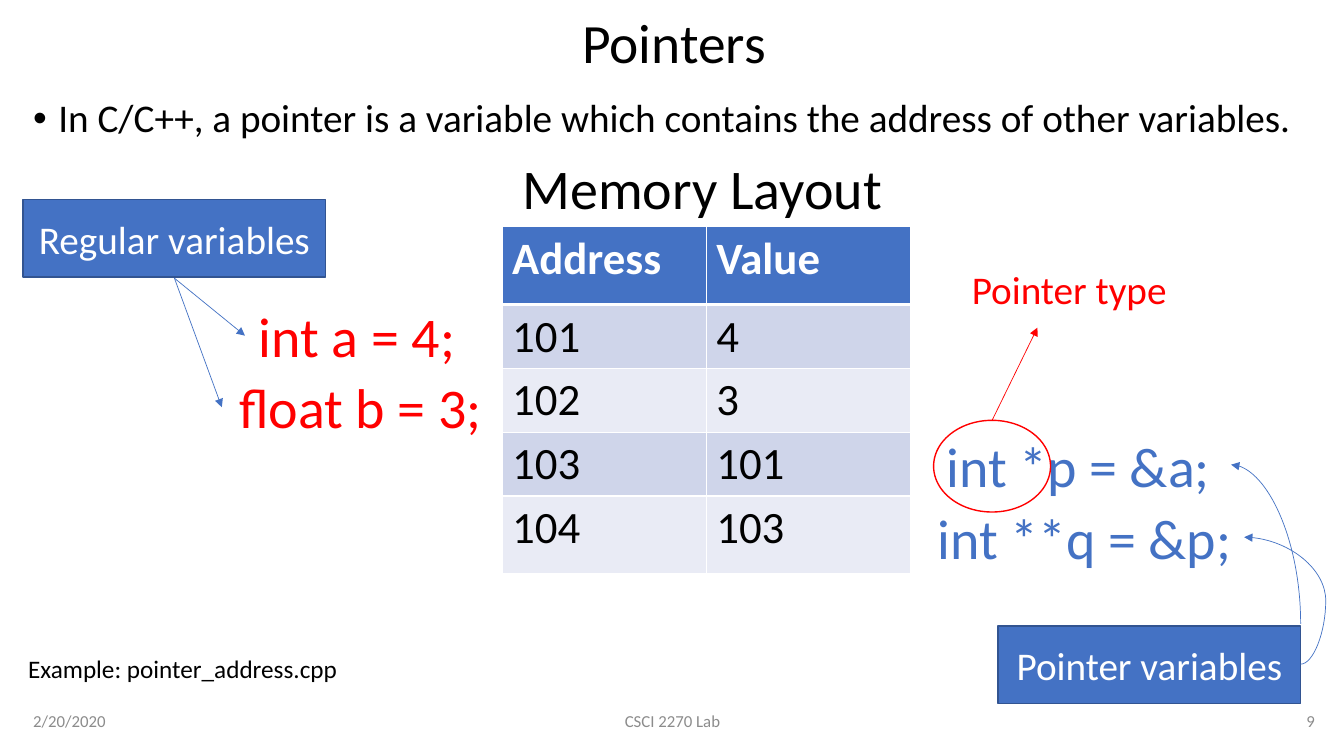
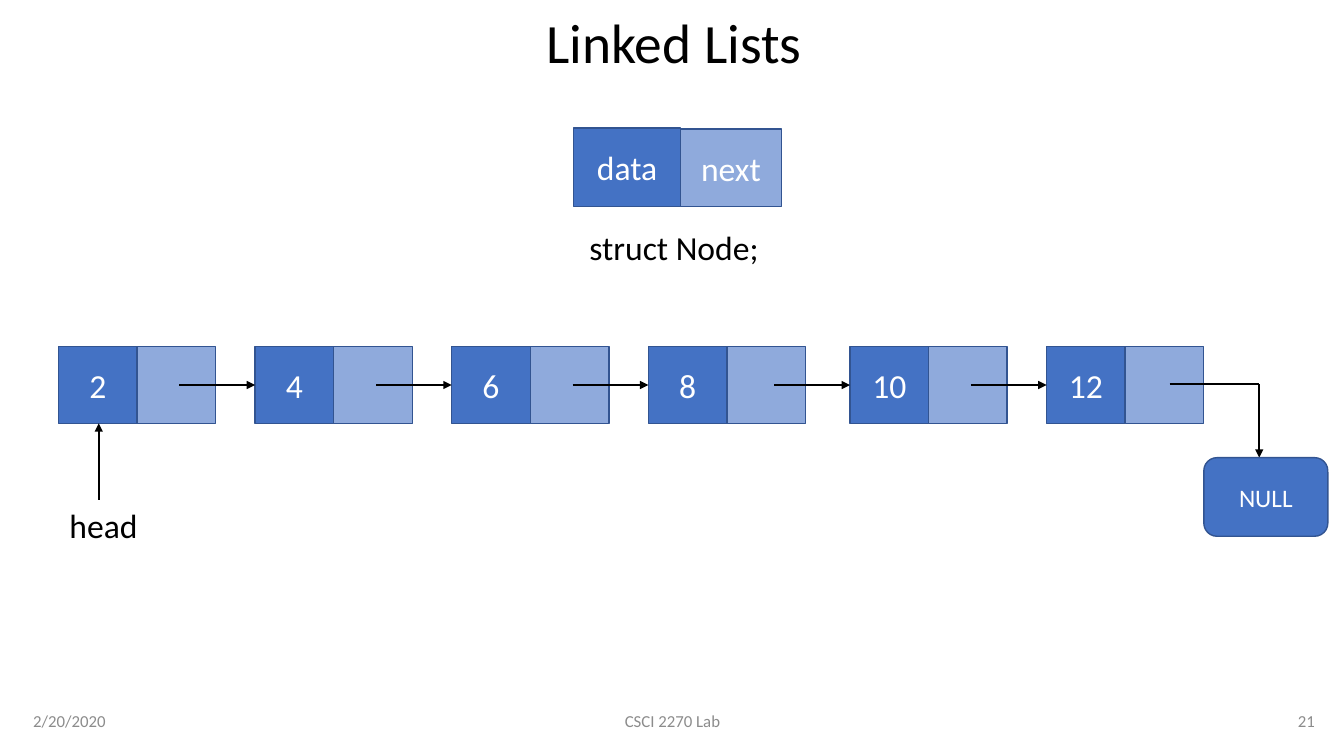
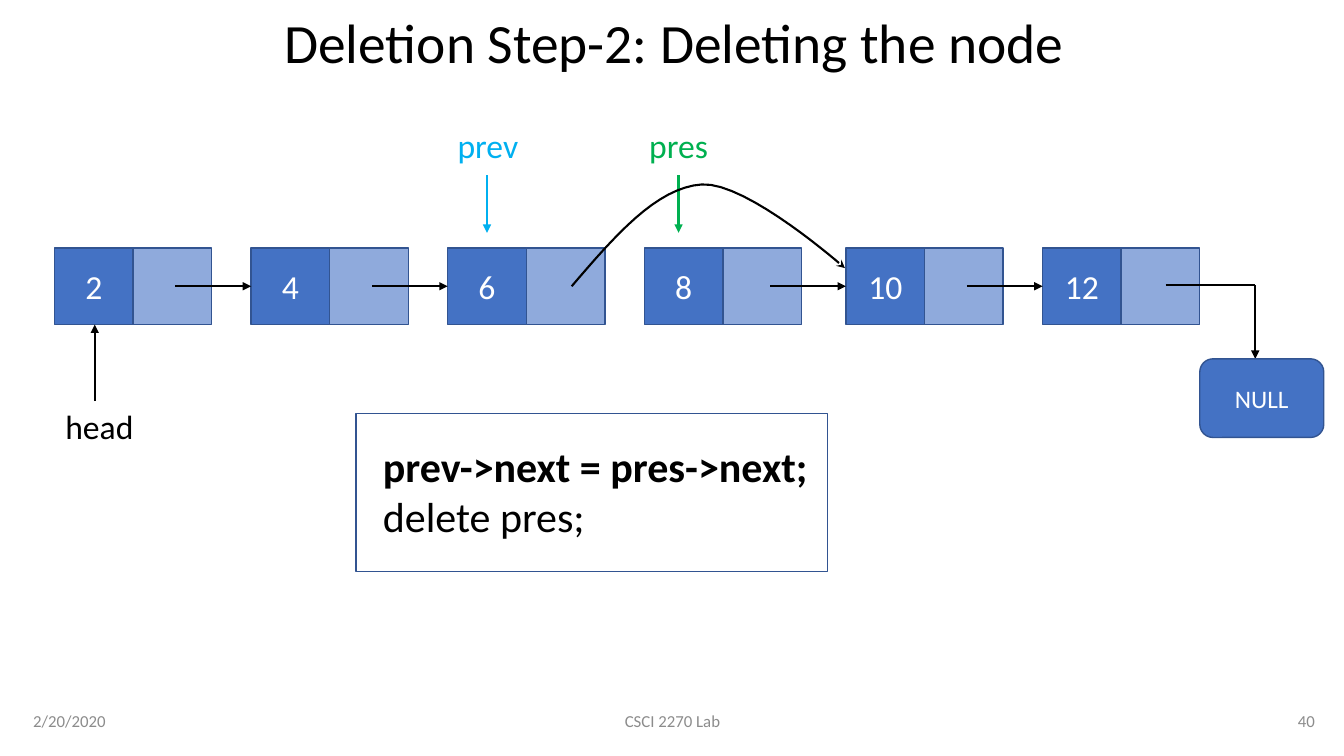
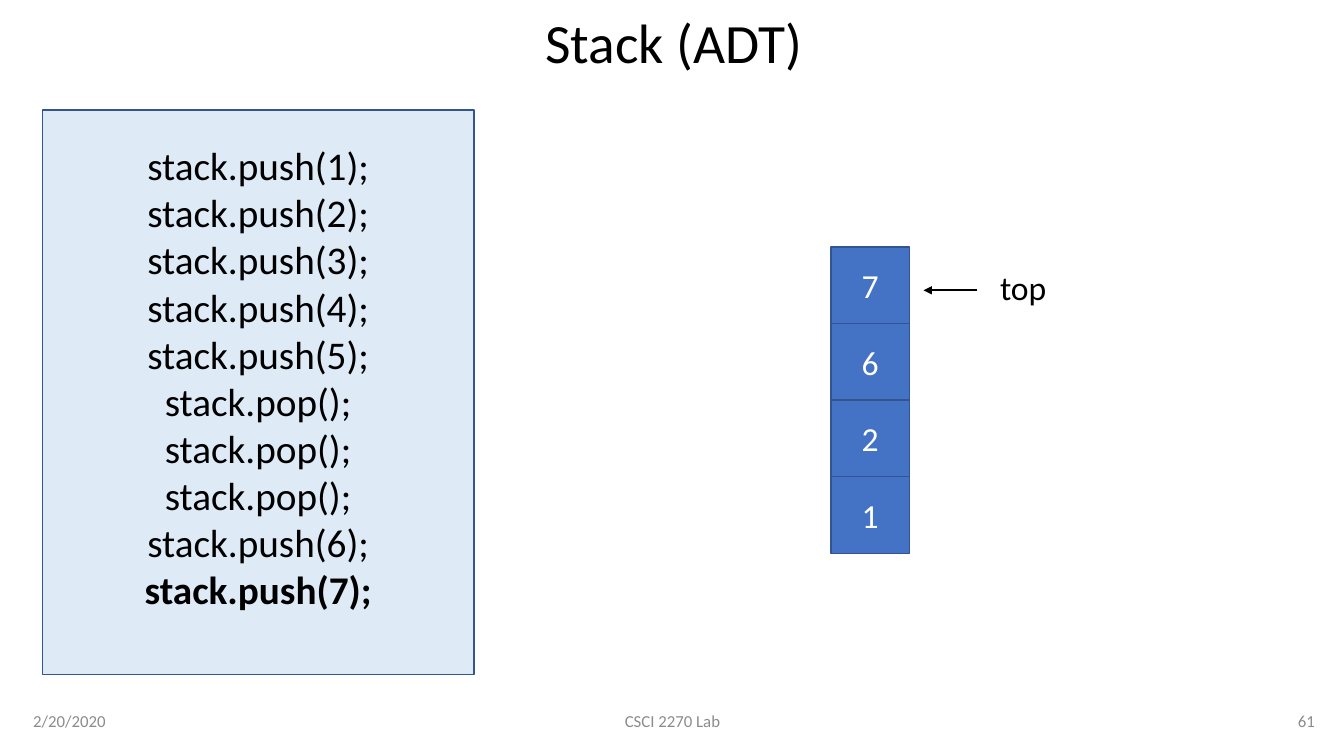
from lxml import etree
from pptx import Presentation
from pptx.dml.color import RGBColor
from pptx.enum.shapes import MSO_CONNECTOR, MSO_SHAPE
from pptx.enum.text import MSO_ANCHOR, PP_ALIGN
from pptx.oxml.ns import qn
from pptx.util import Inches, Pt

LEFT, MID, RIGHT = PP_ALIGN.LEFT, PP_ALIGN.CENTER, PP_ALIGN.RIGHT
TOP, CENTER = MSO_ANCHOR.TOP, MSO_ANCHOR.MIDDLE
RECT, ROUND, OVAL = MSO_SHAPE.RECTANGLE, MSO_SHAPE.ROUNDED_RECTANGLE, MSO_SHAPE.OVAL
LINE, CURVE = MSO_CONNECTOR.STRAIGHT, MSO_CONNECTOR.CURVE

FONT = "Calibri"
BLUE, EDGE, PALE, MIST = "4472C4", "325491", "8FAADC", "DEEBF7"
BLACK, WHITE, GREY, RED = "000000", "FFFFFF", "8C8C8C", "FF0000"
GREEN, SKY = "00B050", "00B0F0"
BANDS = ["CFD5EA", "E9EBF5"]

DATE, COURSE = "2/20/2020", "CSCI 2270 Lab"
POINT = "In C/C++, a pointer is a variable which contains the address of other variables."
MEMORY = [("Address", "Value"), ("101", "4"), ("102", "3"), ("103", "101"), ("104", "103")]
ROWS = [0.77, 0.57, 0.57, 0.62, 0.77]
LABELS = [
    ("int a = 4;", (2.43, 2.94, 2.22, 0.77), 40, RED, MID),
    ("float b = 3;", (2.2, 3.65, 2.75, 0.77), 40, RED, MID),
    ("int *p = &a;", (9.18, 4.23, 3.03, 0.77), 40, BLUE, MID),
    ("int **q = &p;", (9.18, 4.95, 3.15, 0.77), 40, BLUE, MID),
    ("Pointer type", (9.54, 2.58, 2.43, 0.57), 28, RED, LEFT),
    ("Example: pointer_address.cpp", (0.18, 6.43, 3.42, 0.4), 18, BLACK, LEFT),
    ("Memory Layout", (4.94, 1.47, 4.05, 0.77), 40, BLACK, MID),
]
KINDS = [("Regular variables", 0.23, 1.98), ("Pointer variables", 9.9, 6.21)]
RAYS = [
    ((1.73, 2.76), (2.43, 3.33), BLUE),
    ((1.73, 2.76), (2.2, 4.04), BLUE),
    ((9.84, 4.17), (10.29, 3.25), RED),
]
NODES = ["2", "4", "6", "8", "10", "12"]
MARKS = [("prev", 4.44, SKY), ("pres", 6.34, GREEN)]
CODE = ["prev->next = pres->next;", "delete pres;"]
ARCS = [
    [(5.67, 2.84), (6.09, 2.35), (6.51, 1.86), (6.96, 1.83)],
    [(6.96, 1.83), (7.41, 1.8), (8.38, 2.66), (8.38, 2.66)],
]
CALLS = [f"stack.push({n});" for n in range(1, 6)]
CALLS += ["stack.pop();"] * 3 + ["stack.push(6);", "stack.push(7);"]
STACK = ["7", "6", "2", "1"]

SIDE, TALL = 0.78, 0.76
STEP, JOG, LINK = 1.95, 0.05, 0.75


def color(code):
    return RGBColor.from_string(code)


def paint(fill, code):
    if code:
        fill.solid()
        fill.fore_color.rgb = color(code)
    else:
        fill.background()


def write(frame, lines, size, ink, align, anchor, bold=None):
    frame.word_wrap = True
    frame.vertical_anchor = anchor
    for i, line in enumerate(lines):
        para = frame.paragraphs[0] if i == 0 else frame.add_paragraph()
        para.text = line
        para.alignment = align
        font = para.font
        font.name, font.size, font.bold = FONT, Pt(size), i == bold
        font.color.rgb = color(ink)
    return frame


def label(slide, text, area, size, ink=BLACK, align=LEFT, anchor=TOP, bold=None):
    box = slide.shapes.add_textbox(*map(Inches, area))
    lines = [text] if isinstance(text, str) else text
    return write(box.text_frame, lines, size, ink, align, anchor, bold)


def block(slide, area, fill=BLUE, text=None, size=24, kind=RECT, edge=EDGE):
    shape = slide.shapes.add_shape(kind, *map(Inches, area))
    shape.shadow.inherit = False
    paint(shape.fill, fill)
    shape.line.color.rgb = color(edge)
    shape.line.width = Pt(1)
    if text:
        write(shape.text_frame, [text], size, WHITE, MID, CENTER)
    return shape


def tip(shape, end="tailEnd", style="triangle"):
    etree.SubElement(shape.line._get_or_add_ln(), qn("a:" + end), type=style)


def wire(slide, start, stop, ink=BLACK, width=1.5, end="tailEnd", kind=LINE):
    line = slide.shapes.add_connector(kind, *map(Inches, start + stop))
    line.line.color.rgb = color(ink)
    line.line.width = Pt(width)
    if end:
        tip(line, end)
    etree.SubElement(line._element.spPr, qn("a:effectLst"))
    return line


def bend(line, preset, adjust=None):
    geom = line._element.spPr.find(qn("a:prstGeom"))
    geom.set("prst", preset)
    if adjust is not None:
        guides = geom.get_or_add_avLst()
        etree.SubElement(guides, qn("a:gd"), name="adj1", fmla=f"val {adjust}")


def cubic(ends, t):
    parts = ((1 - t) ** 3, 3 * t * (1 - t) ** 2, 3 * t * t * (1 - t), t ** 3)
    return tuple(Inches(sum(w * p[axis] for w, p in zip(parts, ends))) for axis in (0, 1))


def leap(slide, arcs, steps=16):
    dots = [cubic(arc, i / steps) for arc in arcs for i in range(1, steps + 1)]
    pen = slide.shapes.build_freeform(*cubic(arcs[0], 0))
    pen.add_line_segments(dots, close=False)
    shape = pen.convert_to_shape()
    shape.shadow.inherit = False
    shape.fill.background()
    shape.line.color.rgb = color(BLACK)
    shape.line.width = Pt(1.5)
    tip(shape, style="stealth")


def start(deck, title, number):
    slide = deck.slides.add_slide(deck.slide_layouts[6])
    head = label(slide, title, (0.23, 0.15, 12.91, 0.6), 39.6, BLACK, MID, CENTER)
    head.paragraphs[0].line_spacing = 0.9
    for text, left, width, align in [
        (DATE, 0.23, 3, LEFT), (COURSE, 4.42, 4.5, MID), (str(number), 10.14, 3, RIGHT)
    ]:
        label(slide, text, (left, 6.95, width, 0.4), 12, GREY, align, CENTER)
    return slide


def chain(slide, left, top, skip=None):
    spots = [left + STEP * i + (JOG if i > 3 else 0) for i in range(len(NODES))]
    for text, x in zip(NODES, spots):
        block(slide, (x, top, SIDE, TALL), BLUE, text)
        block(slide, (x + SIDE, top, SIDE, TALL), PALE)
    mid = top + TALL / 2
    for i, x in enumerate(spots[1:]):
        if i != skip:
            wire(slide, (x - LINK, mid), (x, mid))
    last, low = spots[-1], top + 1.1
    turn = (last + 2.11, top + 0.37)
    wire(slide, (last + 1.22, turn[1]), turn, end=None)
    wire(slide, turn, (turn[0], low))
    block(slide, (last + 1.56, low, 1.23, SIDE), BLUE, "NULL", 18, ROUND)
    base = top + 2 * TALL
    wire(slide, (left + 0.4, base), (left + 0.4, top + TALL))
    label(slide, "head", (left + 0.01, base, 0.89, 0.5), 24)


def border(cell, low):
    props = cell._tc.get_or_add_tcPr()
    for i, (side, width) in enumerate([("L", 1), ("R", 1), ("T", 1), ("B", low)]):
        line = etree.Element(qn("a:ln" + side), w=str(Pt(width)))
        fill = etree.SubElement(line, qn("a:solidFill"))
        etree.SubElement(fill, qn("a:srgbClr"), val=WHITE)
        props.insert(i, line)


def grid(slide):
    area = (4.98, 2.25, 4.05, sum(ROWS))
    table = slide.shapes.add_table(len(MEMORY), 2, *map(Inches, area)).table
    for r, (row, tall) in enumerate(zip(MEMORY, ROWS)):
        table.rows[r].height = Inches(tall)
        for c, text in enumerate(row):
            cell = table.cell(r, c)
            paint(cell.fill, BANDS[(r - 1) % 2] if r else BLUE)
            ink = BLACK if r else WHITE
            write(cell.text_frame, [text], 32, ink, LEFT, TOP, None if r else 0)
            border(cell, 1 if r else 3)


def pointers(deck):
    slide = start(deck, "Pointers", 9)
    body = label(slide, [], (0.23, 0.93, 12.91, 0.6), 28)
    para = body.paragraphs[0]
    props = para._p.get_or_add_pPr()
    props.set("marL", str(Inches(0.25)))
    props.set("indent", str(Inches(-0.25)))
    etree.SubElement(props, qn("a:buFont"), typeface="Arial")
    etree.SubElement(props, qn("a:buChar"), char="•")
    write(body, [POINT], 28, BLACK, LEFT, TOP)
    para.line_spacing = 0.9
    grid(slide)
    for text, area, size, ink, align in LABELS:
        label(slide, text, area, size, ink, align)
    for text, left, top in KINDS:
        block(slide, (left, top, 3, 0.77), BLUE, text, 28)
    for tail, point, ink in RAYS:
        wire(slide, tail, point, ink, 0.5)
    near = wire(slide, (12.21, 4.61), (12.9, 6.19), BLUE, 0.5, "headEnd", CURVE)
    bend(near, "curvedConnector2")
    far = wire(slide, (12.9, 6.59), (12.34, 5.33), BLUE, 0.5, kind=CURVE)
    bend(far, "curvedConnector3", -44600)
    block(slide, (9.26, 4.17, 1.16, 0.91), None, kind=OVAL, edge=RED)


def lists(deck):
    slide = start(deck, "Linked Lists", 21)
    chain(slide, 0.58, 3.44)
    block(slide, (5.69, 1.27, 1.06, 0.78), BLUE, "data")
    block(slide, (6.75, 1.28, 1, 0.77), PALE, "next")
    label(slide, "struct Node;", (5.69, 2.2, 1.99, 0.5), 24, align=MID)


def delete(deck):
    slide = start(deck, "Deletion Step-2: Deleting the node", 40)
    chain(slide, 0.54, 2.46, skip=2)
    for text, left, ink in MARKS:
        wire(slide, (left + 0.39, 1.74), (left + 0.39, 2.31), ink)
        label(slide, text, (left, 1.19, 0.85, 0.5), 24, ink)
    block(slide, (3.53, 4.1, 4.68, 1.57), None)
    label(slide, CODE, (3.7, 4.32, 4.5, 1.11), 30, bold=0)
    leap(slide, ARCS)


def stack(deck):
    slide = start(deck, "Stack (ADT)", 61)
    panel = block(slide, (0.42, 1.09, 4.28, 5.6), MIST).text_frame
    write(panel, CALLS, 28, BLACK, MID, CENTER, len(CALLS) - 1)
    panel.margin_bottom = Inches(0.35)
    for i, text in enumerate(STACK):
        block(slide, (8.24, 2.45 + TALL * i, SIDE, TALL), BLUE, text)
    wire(slide, (9.69, 2.88), (9.16, 2.88))
    label(slide, "top", (9.82, 2.6, 0.78, 0.52), 24)


def main():
    deck = Presentation()
    deck.slide_width, deck.slide_height = Inches(13.33), Inches(7.5)
    for build in (pointers, lists, delete, stack):
        build(deck)
    deck.save("out.pptx")


if __name__ == "__main__":
    main()
